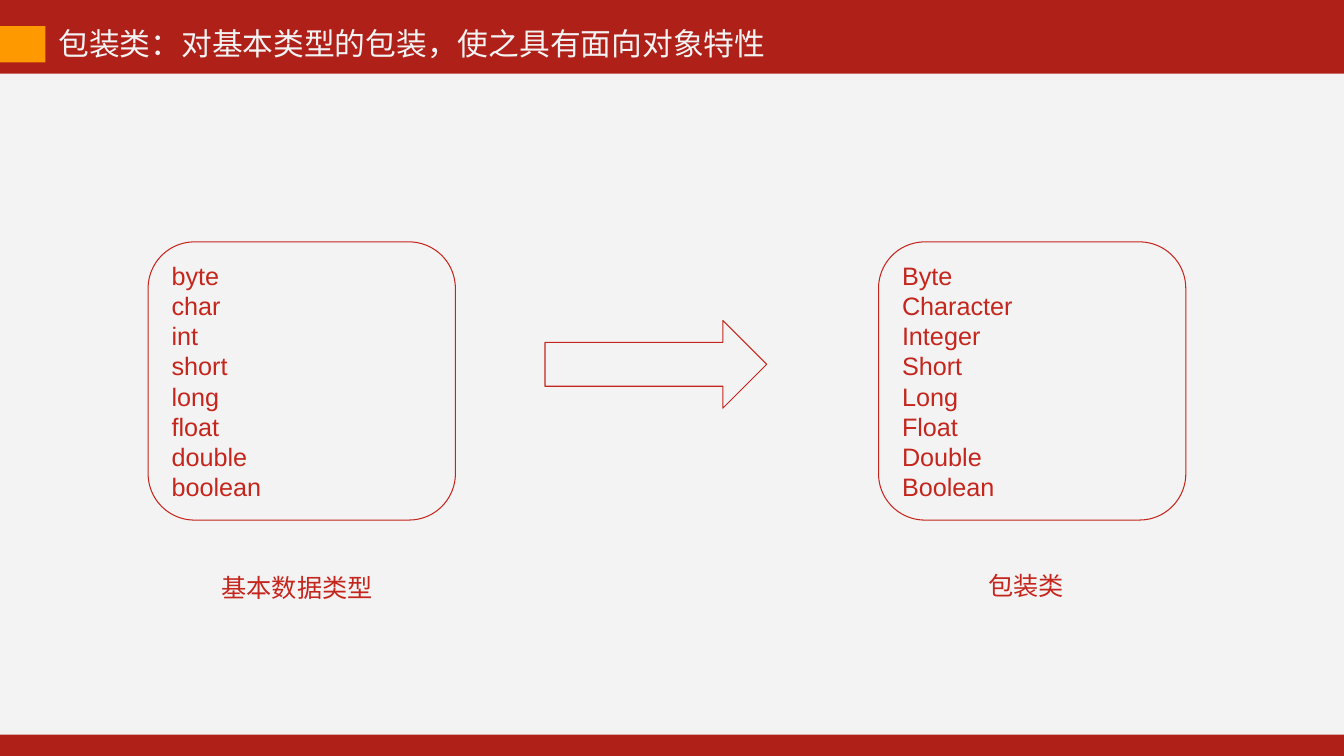
from dataclasses import dataclass

from lxml.etree import SubElement
from pptx import Presentation
from pptx.dml.color import RGBColor
from pptx.enum.shapes import MSO_SHAPE
from pptx.enum.text import MSO_ANCHOR, MSO_AUTO_SIZE, PP_ALIGN
from pptx.oxml.ns import qn
from pptx.util import Inches, Pt


@dataclass(frozen=True)
class Theme:
    frame: RGBColor = RGBColor.from_string("AF2019")
    paper: RGBColor = RGBColor.from_string("F3F3F3")
    accent: RGBColor = RGBColor.from_string("FF9900")
    ink: RGBColor = RGBColor.from_string("C4261D")
    latin: str = "Arial"
    chinese: str = "Noto Sans CJK SC"
    title_size: int = 22
    body_size: int = 18
    line_width: float = 0.75


THEME = Theme()
WIDTH, HEIGHT = 13.34, 7.5
HEADER_HEIGHT, FOOTER_HEIGHT = 0.73, 0.21
PANEL_WIDTH, PANEL_HEIGHT, PANEL_TOP = 3.05, 2.76, 2.4
CAPTION_WIDTH, CAPTION_HEIGHT = 2.02, 0.4

PRIMITIVES = ["byte", "char", "int", "short", "long", "float", "double", "boolean"]
WRAPPERS = ["Byte", "Character", "Integer", "Short", "Long", "Float", "Double", "Boolean"]


def place(shape, box):
    shape.left, shape.top, shape.width, shape.height = map(Inches, box)


def write(shape, text, size, color, latin, anchor):
    frame = shape.text_frame
    frame.text = text
    frame.word_wrap = True
    frame.auto_size = MSO_AUTO_SIZE.NONE
    frame.vertical_anchor = anchor
    for para in frame.paragraphs:
        para.alignment = PP_ALIGN.LEFT
        for span in para.runs:
            span.font.size = Pt(size)
            span.font.color.rgb = color
            span.font.name = latin
            east_asian = SubElement(span.font._element, qn("a:ea"))
            east_asian.set("typeface", THEME.chinese)


def add_block(page, kind, box, fill=None):
    shape = page.shapes.add_shape(kind, *map(Inches, box))
    shape.shadow.inherit = False
    if fill is None:
        shape.fill.background()
        shape.line.color.rgb = THEME.ink
        shape.line.width = Pt(THEME.line_width)
    else:
        shape.fill.solid()
        shape.fill.fore_color.rgb = fill
        shape.line.fill.background()
    return shape


def add_backdrop(page):
    page.background.fill.solid()
    page.background.fill.fore_color.rgb = THEME.frame
    body_height = HEIGHT - HEADER_HEIGHT - FOOTER_HEIGHT
    add_block(page, MSO_SHAPE.RECTANGLE, (0, HEADER_HEIGHT, WIDTH, body_height), THEME.paper)


def add_header(page, text, box):
    left, top, width, height = box
    marker = 0.45
    add_block(page, MSO_SHAPE.RECTANGLE, (left, top + 0.07, marker, 0.36), THEME.accent)
    title = page.shapes.title
    place(title, (left + marker + 0.03, top, width - marker, height))
    write(title, text, THEME.title_size, THEME.paper, THEME.chinese, MSO_ANCHOR.MIDDLE)


def add_type_panel(page, names, caption, box, caption_offset):
    left, top, width, height = box
    panel = add_block(page, MSO_SHAPE.ROUNDED_RECTANGLE, box)
    write(panel, "\n".join(names), THEME.body_size, THEME.ink, THEME.latin, MSO_ANCHOR.MIDDLE)
    across, below = caption_offset
    label_box = (left + across, top + height + below, CAPTION_WIDTH, CAPTION_HEIGHT)
    label = page.shapes.add_textbox(*map(Inches, label_box))
    write(label, caption, THEME.body_size, THEME.ink, THEME.latin, MSO_ANCHOR.TOP)


def build_slide(deck):
    page = deck.slides.add_slide(deck.slide_layouts.get_by_name("Title Only"))
    add_backdrop(page)
    add_header(page, "包装类：对基本类型的包装，使之具有面向对象特性", (0, 0.19, 8.5, 0.47))
    panels = [
        (PRIMITIVES, "基本数据类型", 1.47, (0.63, 0.47)),
        (WRAPPERS, "包装类", 8.72, (0.99, 0.45)),
    ]
    for names, caption, left, caption_offset in panels:
        box = (left, PANEL_TOP, PANEL_WIDTH, PANEL_HEIGHT)
        add_type_panel(page, names, caption, box, caption_offset)
    add_block(page, MSO_SHAPE.RIGHT_ARROW, (5.41, 3.18, 2.2, 0.87))


def main():
    deck = Presentation()
    deck.slide_width, deck.slide_height = Inches(WIDTH), Inches(HEIGHT)
    build_slide(deck)
    deck.save("out.pptx")


if __name__ == "__main__":
    main()
